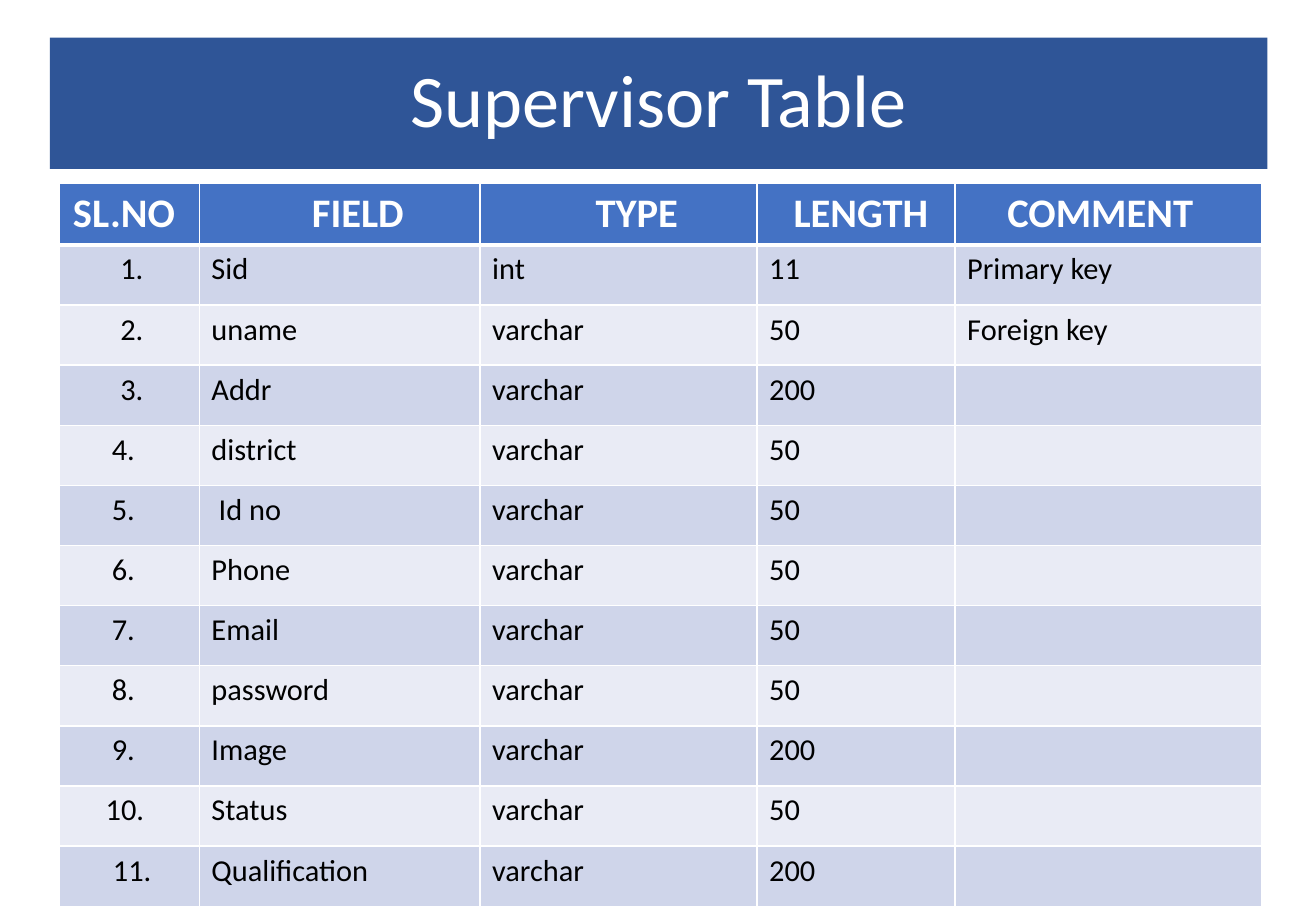
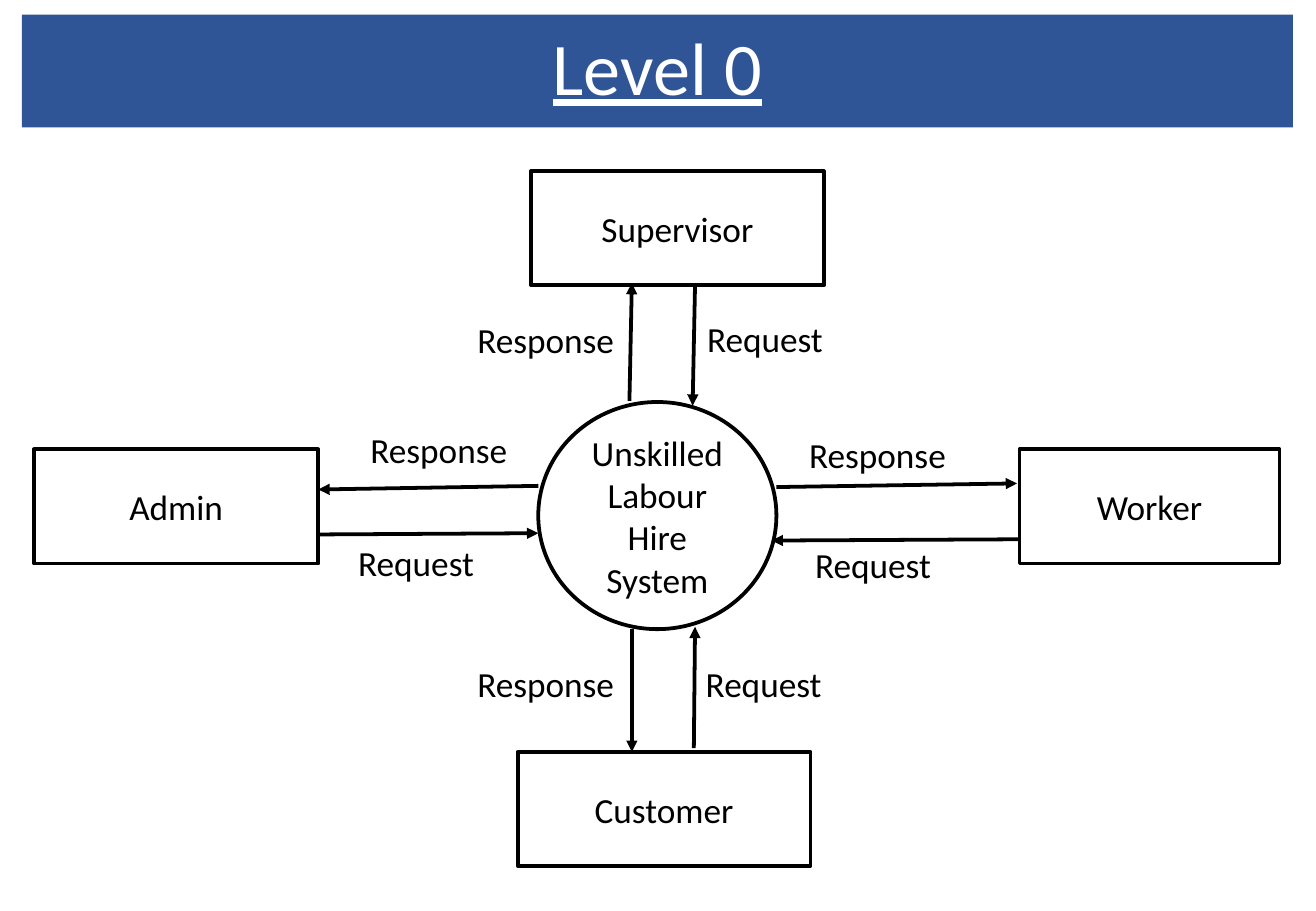
from typing import NamedTuple

from lxml.etree import SubElement
from pptx import Presentation
from pptx.dml.color import RGBColor
from pptx.enum.shapes import MSO_CONNECTOR, MSO_SHAPE
from pptx.enum.text import MSO_ANCHOR, PP_ALIGN
from pptx.oxml import parse_xml
from pptx.oxml.ns import nsdecls, qn
from pptx.util import Inches, Pt

NAVY, BLUE, WHITE, BLACK = "2F5597", "4472C4", "FFFFFF", "000000"
BANDS = ("CFD5EA", "E9EBF5")
FONT = "Calibri"

TITLE = {"name": FONT, "size": Pt(44)}
HEAD = {"name": FONT, "size": Pt(24), "bold": True}
BODY = {"name": FONT, "size": Pt(18), "bold": False}
LABEL = {"name": FONT, "size": Pt(20.9)}

PAD = 0.1
ROW = 0.495
WIDTHS = (1.15, 2.31, 2.28, 1.63, 2.52)


class Box(NamedTuple):
    text: str
    left: float
    top: float
    width: float
    height: float
    kind: MSO_SHAPE = MSO_SHAPE.RECTANGLE


class Label(NamedTuple):
    text: str
    left: float
    top: float
    width: float


class Arrow(NamedTuple):
    x1: float
    y1: float
    x2: float
    y2: float


class Head(NamedTuple):
    text: str
    pad: float
    align: PP_ALIGN = PP_ALIGN.CENTER
    anchor: MSO_ANCHOR = MSO_ANCHOR.MIDDLE


class Field(NamedTuple):
    name: str
    length: str
    type: str = "varchar"
    note: str = ""
    pad: float = PAD


HEADS = (
    Head("SL.NO", 0.01),
    Head("FIELD", 0.4),
    Head("TYPE", 0.4),
    Head("LENGTH", 0.18),
    Head("COMMENT", 0.43, PP_ALIGN.LEFT, MSO_ANCHOR.TOP),
)
FIELDS = (
    Field("Sid", "11", "int", "Primary key"),
    Field("uname", "50", note="Foreign key"),
    Field("Addr", "200"),
    Field("district", "50"),
    Field("Id no", "50", pad=0.16),
    Field("Phone", "50"),
    Field("Email", "50"),
    Field("password", "50"),
    Field("Image", "200"),
    Field("Status", "50"),
    Field("Qualification", "200"),
)
# Left margin of each row number
INSETS = (0.5,) * 3 + (0.43,) * 6 + (0.38, 0.44)

BOXES = (
    Box("Unskilled Labour Hire System", 4.43, 3.31, 1.96, 1.87,
        MSO_SHAPE.FLOWCHART_CONNECTOR),
    Box("Worker", 8.39, 3.7, 2.14, 0.94),
    Box("Supervisor", 4.37, 1.41, 2.41, 0.94),
    Box("Admin", 0.28, 3.7, 2.34, 0.94),
    Box("Customer", 4.26, 6.19, 2.41, 0.94),
)
ARROWS = (
    Arrow(6.39, 4.01, 8.37, 3.98),
    Arrow(8.38, 4.44, 6.35, 4.45),
    Arrow(4.43, 4, 2.62, 4.03),
    Arrow(2.62, 4.4, 4.43, 4.39),
    Arrow(5.18, 3.3, 5.2, 2.33),
    Arrow(5.72, 2.35, 5.7, 3.34),
    Arrow(5.2, 5.18, 5.2, 6.19),
    Arrow(5.71, 6.16, 5.72, 5.16),
)
LABELS = (
    Label("Response", 2.95, 3.48, 1.63),
    Label("Request", 2.85, 4.41, 1.73),
    Label("Response", 6.56, 3.52, 1.82),
    Label("Request", 6.61, 4.42, 1.49),
    Label("Response", 3.83, 2.57, 1.43),
    Label("Request", 5.72, 2.56, 1.18),
    Label("Response", 3.83, 5.4, 1.47),
    Label("Request", 5.71, 5.4, 1.17),
)


def rgb(code: str) -> RGBColor:
    return RGBColor.from_string(code)


def paint(item, code: str) -> None:
    item.fill.solid()
    item.fill.fore_color.rgb = rgb(code)


def write(frame, text: str, style: dict, color: str = BLACK,
          align: PP_ALIGN = PP_ALIGN.LEFT):
    """Fill the first paragraph of a frame and return it."""
    para = frame.paragraphs[0]
    para.alignment = align
    run = para.add_run()
    run.text = text
    for key, value in style.items():
        setattr(run.font, key, value)
    run.font.color.rgb = rgb(color)
    return para


def add_page(deck, text: str, place: tuple, line: bool = False):
    """Add a slide with a title band."""
    slide = deck.slides.add_slide(deck.slide_layouts[5])
    title = slide.shapes.title
    title.left, title.top, title.width, title.height = map(Inches, place)
    paint(title, NAVY)
    title.text_frame.vertical_anchor = MSO_ANCHOR.MIDDLE
    style = {**TITLE, "underline": line}
    para = write(title.text_frame, text, style, WHITE, PP_ALIGN.CENTER)
    para.line_spacing = 0.9
    return slide


def edge(cell, top: float, base: float) -> None:
    """Draw white cell borders; top and base are widths in points."""
    props = cell._tc.get_or_add_tcPr()
    sides = {"lnL": 1, "lnR": 1, "lnT": top, "lnB": base}
    for spot, (tag, width) in enumerate(sides.items()):
        props.insert(spot, parse_xml(
            f'<a:{tag} {nsdecls("a")} w="{Pt(width)}"><a:solidFill>'
            f'<a:srgbClr val="{WHITE}"/></a:solidFill></a:{tag}>'))


def add_grid(slide) -> None:
    count = len(FIELDS) + 1
    place = map(Inches, (0.49, 1.51, sum(WIDTHS), ROW * count))
    table = slide.shapes.add_table(count, len(WIDTHS), *place).table
    for col, width in zip(table.columns, WIDTHS):
        col.width = Inches(width)
    for cell, head in zip(table.rows[0].cells, HEADS):
        paint(cell, BLUE)
        edge(cell, 1, 3)
        cell.margin_left = Inches(head.pad)
        cell.vertical_anchor = head.anchor
        write(cell.text_frame, head.text, HEAD, WHITE, head.align)
    for num, (field, inset) in enumerate(zip(FIELDS, INSETS), 1):
        texts = (f"{num}.", field.name, field.type, field.length, field.note)
        pads = (inset, field.pad, PAD, PAD, PAD)
        for cell, text, pad in zip(table.rows[num].cells, texts, pads):
            paint(cell, BANDS[(num - 1) % 2])
            edge(cell, 3 if num == 1 else 1, 1)
            cell.margin_left = Inches(pad)
            if text:
                write(cell.text_frame, text, BODY)


def trace(line) -> None:
    line.color.rgb = rgb(BLACK)
    line.width = Pt(2.25)


def add_box(slide, box: Box) -> None:
    place = map(Inches, (box.left, box.top, box.width, box.height))
    shape = slide.shapes.add_shape(box.kind, *place)
    shape.shadow.inherit = False
    paint(shape, WHITE)
    trace(shape.line)
    frame = shape.text_frame
    frame.word_wrap = True
    frame.vertical_anchor = MSO_ANCHOR.MIDDLE
    write(frame, box.text, LABEL, align=PP_ALIGN.CENTER)


def add_arrow(slide, arrow: Arrow) -> None:
    link = slide.shapes.add_connector(MSO_CONNECTOR.STRAIGHT,
                                      *map(Inches, arrow))
    trace(link.line)
    SubElement(link.line._get_or_add_ln(), qn("a:tailEnd"), type="triangle")
    SubElement(link._element.spPr, qn("a:effectLst"))


def add_label(slide, label: Label) -> None:
    place = map(Inches, (label.left, label.top, label.width, 0.45))
    frame = slide.shapes.add_textbox(*place).text_frame
    frame.word_wrap = True
    write(frame, label.text, LABEL)


def main() -> None:
    deck = Presentation()
    deck.slide_width, deck.slide_height = Inches(10.83), Inches(7.5)

    add_grid(add_page(deck, "Supervisor Table", (0.41, 0.31, 10.02, 1.08)))

    chart = add_page(deck, "Level 0", (0.18, 0.12, 10.46, 0.93), line=True)
    for draw, items in ((add_box, BOXES), (add_arrow, ARROWS),
                        (add_label, LABELS)):
        for item in items:
            draw(chart, item)

    deck.save("out.pptx")


if __name__ == "__main__":
    main()
